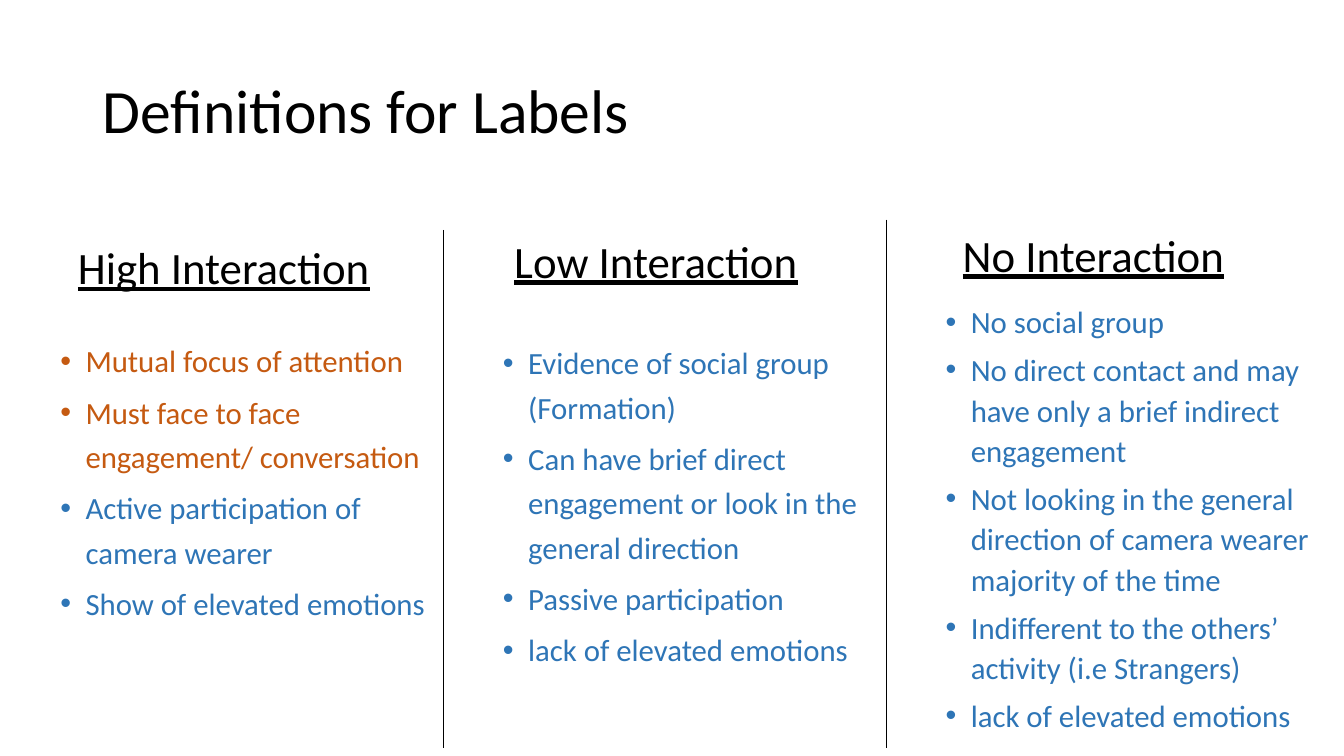
from pptx import Presentation
from pptx.dml.color import RGBColor
from pptx.enum.shapes import MSO_CONNECTOR as Conn
from pptx.enum.text import MSO_ANCHOR as Anchor, PP_ALIGN as Align
from pptx.oxml.ns import qn
from pptx.util import Inches, Pt
from lxml.etree import SubElement

HUES = {"ink": "000000", "rust": "C55A11", "blue": "2E75B6", "page": "FFFFFF"}
WIDE, HIGH = 13.33, 7.5
FOOT = 7.42

COLS = [
    {"head": "High Interaction", "top": (0.05, 1.95, 4.34, 1.45),
     "body": (0, 3.27, 4.32, 4.06), "gap": 1.2,
     "items": [("Mutual focus of attention", "rust"),
               ("Must face to face engagement/ conversation", "rust"),
               ("Active participation of camera wearer", "blue"),
               ("Show of elevated emotions", "blue")]},
    {"head": "Low Interaction", "top": (4.35, 1.89, 4.31, 1.45),
     "body": (4.39, 3.29, 4.22, 3.42), "gap": 1.2,
     "items": [("Evidence of social group (Formation)", "blue"),
               ("Can have brief direct engagement or look in the general direction", "blue"),
               ("Passive participation", "blue"),
               ("lack of elevated emotions", "blue")]},
    {"head": "No Interaction", "top": (8.65, 1.83, 4.39, 1.45),
     "body": (8.78, 2.92, 4.39, 4.41), "gap": 1.1,
     "items": [("No social group", "blue"),
               ("No direct contact and may have only a brief indirect engagement", "blue"),
               ("Not looking in the general direction of camera wearer majority of the time", "blue"),
               ("Indifferent to the others’ activity (i.e Strangers)", "blue"),
               ("lack of elevated emotions", "blue")]},
]
RULES = [(4.4, 2.28), (8.79, 2.18)]


def frame(slide, box, anchor):
    shape = slide.shapes.add_textbox(*map(Inches, box))
    text = shape.text_frame
    text.word_wrap = True
    text.vertical_anchor = anchor
    return text


def write(para, text, size, hue="ink", align=Align.LEFT, gap=0.9,
          before=0, line=False, bullet=False):
    if bullet:
        props = para._p.get_or_add_pPr()
        props.set("marL", str(Inches(0.75)))
        props.set("indent", str(Inches(-0.25)))
        SubElement(props, qn("a:buFont")).set("typeface", "Arial")
        SubElement(props, qn("a:buChar")).set("char", "•")
    para.alignment = align
    para.line_spacing = gap
    para.space_before = Pt(before)
    run = para.add_run()
    run.text = text
    font = run.font
    font.name = "Calibri"
    font.size = Pt(size)
    font.underline = line
    font.color.rgb = RGBColor.from_string(HUES[hue])


def title(slide, box, text):
    write(frame(slide, box, Anchor.MIDDLE).paragraphs[0], text, 44)


def column(slide, col):
    head = frame(slide, col["top"], Anchor.MIDDLE)
    write(head.paragraphs[0], col["head"], 32, align=Align.CENTER, line=True)
    body = frame(slide, col["body"], Anchor.TOP)
    for i, (text, hue) in enumerate(col["items"]):
        para = body.add_paragraph() if i else body.paragraphs[0]
        write(para, text, 22, hue, gap=col["gap"],
              before=5 if i else 0, bullet=True)


def rule(slide, x, top):
    line = slide.shapes.add_connector(
        Conn.STRAIGHT, Inches(x), Inches(top), Inches(x), Inches(FOOT))
    line.line.color.rgb = RGBColor.from_string(HUES["ink"])
    line.line.width = Pt(0.5)
    SubElement(line._element.spPr, qn("a:effectLst"))


def main():
    deck = Presentation()
    deck.slide_width, deck.slide_height = Inches(WIDE), Inches(HIGH)
    slide = deck.slides.add_slide(deck.slide_layouts[6])
    fill = slide.background.fill
    fill.solid()
    fill.fore_color.rgb = RGBColor.from_string(HUES["page"])
    for col in COLS:
        column(slide, col)
    for x, top in RULES:
        rule(slide, x, top)
    title(slide, (0.92, 0.4, 11.5, 1.45), "Definitions for Labels")
    deck.save("out.pptx")


if __name__ == "__main__":
    main()
